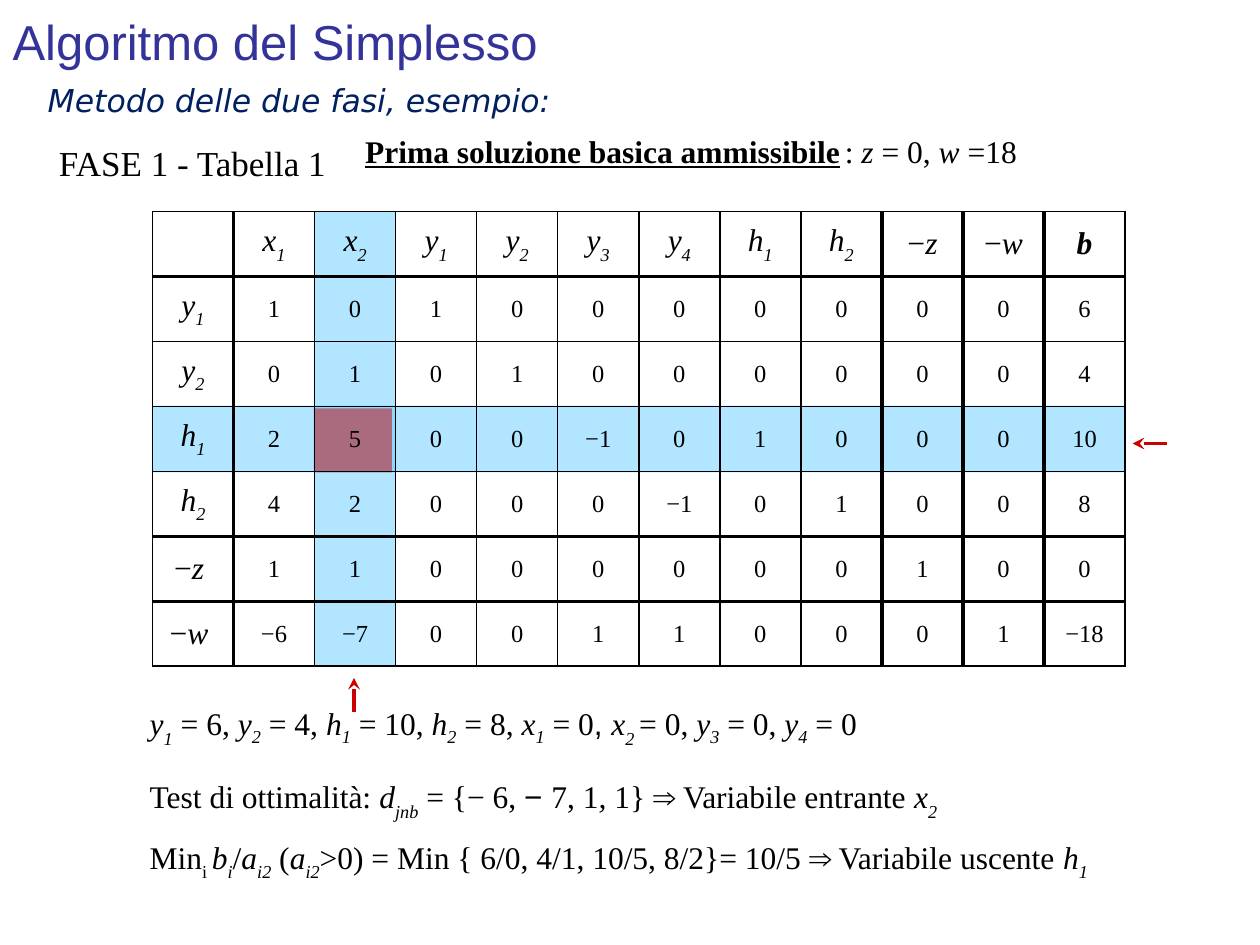
from dataclasses import dataclass, replace

import pptx
import pptx.dml.color
import pptx.enum.shapes
import pptx.enum.text
import pptx.oxml
import pptx.oxml.ns
import pptx.util
from pptx.util import Inches

RGBColor = pptx.dml.color.RGBColor
Align = pptx.enum.text.PP_ALIGN
Anchor = pptx.enum.text.MSO_ANCHOR
qn = pptx.oxml.ns.qn

BLACK = RGBColor(0x00, 0x00, 0x00)
TITLE_BLUE = RGBColor(0x33, 0x33, 0x99)
NAVY = RGBColor(0x00, 0x20, 0x60)
SKY = RGBColor(0x66, 0xCC, 0xFF)
RED = RGBColor(0xCC, 0x00, 0x00)
SERIF = "Times New Roman"
THIN, THICK = 1, 2.25


@dataclass(frozen=True)
class Span:
    text: str
    italic: bool = False
    bold: bool = False
    underline: bool = False
    baseline: int = 0  # percent of the text size
    font: str = SERIF
    size: float = 18
    color: RGBColor = BLACK


@dataclass(frozen=True)
class Area:
    left: float
    top: float
    width: float
    height: float

    def lengths(self) -> list:
        return [Inches(n) for n in (self.left, self.top, self.width, self.height)]


def italic(text: str) -> Span:
    return Span(text, italic=True)


def indexed(name: str, index: str, baseline: int = -30) -> list[Span]:
    return [italic(name), Span(index, italic=True, baseline=baseline)]


def negative(name: str) -> list[Span]:
    return [Span("−"), italic(name)]


def write(frame, spans: list[Span], align=Align.LEFT) -> None:
    para = frame.paragraphs[0]
    para.alignment = align
    for span in spans:
        run = para.add_run()
        run.text = span.text
        font = run.font
        font.name, font.size = span.font, pptx.util.Pt(span.size)
        font.italic, font.bold, font.underline = span.italic, span.bold, span.underline
        font.color.rgb = span.color
        if span.baseline:
            run._r.get_or_add_rPr().set("baseline", str(span.baseline * 1000))


def add_text(page, area: Area, spans: list[Span], align=Align.LEFT) -> None:
    box = page.shapes.add_textbox(*area.lengths())
    box.text_frame.word_wrap = True
    write(box.text_frame, spans, align)


def add_highlight(page, area: Area, color: RGBColor) -> None:
    box = page.shapes.add_shape(pptx.enum.shapes.MSO_SHAPE.RECTANGLE, *area.lengths())
    box.shadow.inherit = False
    box.line.fill.background()
    box.fill.solid()
    box.fill.fore_color.rgb = color
    color_element = box._element.spPr.find(qn("a:solidFill")).find(qn("a:srgbClr"))
    color_element.append(half_transparent())


def half_transparent():
    return pptx.oxml.parse_xml(f'<a:alpha {pptx.oxml.ns.nsdecls("a")} val="50000"/>')


def add_arrow(page, tip: tuple[float, float], tail: tuple[float, float]) -> None:
    arrow = page.shapes.add_connector(
        pptx.enum.shapes.MSO_CONNECTOR.STRAIGHT, *[Inches(n) for n in tip + tail])
    arrow.line.color.rgb = RED
    arrow.line.width = pptx.util.Pt(2.25)
    names = pptx.oxml.ns.nsdecls("a")
    arrow.line._get_or_add_ln().append(
        pptx.oxml.parse_xml(f'<a:headEnd {names} type="stealth"/>'))
    arrow._element.spPr.append(pptx.oxml.parse_xml(f"<a:effectLst {names}/>"))


def set_borders(cell, left: float, right: float, top: float, bottom: float) -> None:
    properties = cell._tc.get_or_add_tcPr()
    sides = zip("LRTB", (left, right, top, bottom))
    for position, (side, points) in enumerate(sides):
        properties.insert(position, pptx.oxml.parse_xml(
            f'<a:ln{side} {pptx.oxml.ns.nsdecls("a")} w="{int(points * 12700)}">'
            f'<a:solidFill><a:srgbClr val="{BLACK}"/></a:solidFill></a:ln{side}>'))


# Tableau contents
HEADER = [
    [],
    *[indexed(name, index) for name, index in ("x1", "x2", "y1", "y2", "y3", "y4", "h1", "h2")],
    negative("z"), negative("w"), [replace(italic("b"), bold=True)],
]
BODY = [
    (indexed("y", "1"), "1 0 1 0 0 0 0 0 0 0 6"),
    (indexed("y", "2"), "0 1 0 1 0 0 0 0 0 0 4"),
    (indexed("h", "1"), "2 5 0 0 −1 0 1 0 0 0 10"),
    (indexed("h", "2"), "4 2 0 0 0 −1 0 1 0 0 8"),
    (negative("z "), "1 1 0 0 0 0 0 0 1 0 0"),
    (negative("w "), "−6 −7 0 0 1 1 0 0 0 1 −18"),
]
TABLEAU = Area(1.21, 1.68, 7.72, 3.61)
THICK_AFTER_COLUMNS = {0, 8, 9, 10}
THICK_AFTER_ROWS = {0, 4, 5}


def add_tableau(page) -> None:
    rows = [HEADER] + [
        [label] + [[Span(value, size=14)] for value in values.split()]
        for label, values in BODY]
    table = page.shapes.add_table(len(rows), len(HEADER), *TABLEAU.lengths()).table
    table.first_row = table.horz_banding = False

    def weight(index: int, thick: set[int]) -> float:
        return THICK if index in thick else THIN

    for r, row in enumerate(rows):
        for c, spans in enumerate(row):
            cell = table.cell(r, c)
            cell.fill.background()
            cell.vertical_anchor = Anchor.MIDDLE
            write(cell.text_frame, spans, Align.CENTER)
            set_borders(
                cell,
                weight(c - 1, THICK_AFTER_COLUMNS), weight(c, THICK_AFTER_COLUMNS),
                weight(r - 1, THICK_AFTER_ROWS), weight(r, THICK_AFTER_ROWS))


def main() -> None:
    deck = pptx.Presentation()
    deck.slide_width, deck.slide_height = Inches(10), Inches(7.5)
    page = deck.slides.add_slide(deck.slide_layouts[5])

    # Title and headings
    title = page.shapes.title
    title.left, title.top, title.width, title.height = Area(0, -0.03, 9, 0.71).lengths()
    title.text_frame.vertical_anchor = Anchor.MIDDLE
    write(title.text_frame,
          [Span("Algoritmo del Simplesso", font="Arial", size=28, color=TITLE_BLUE)])
    add_text(page, Area(0.28, 0.59, 8.52, 0.4), [
        Span("Metodo delle due fasi, esempio:", italic=True, font="DejaVu Sans", color=NAVY)])
    add_text(page, Area(0.37, 1.07, 3.97, 0.43), [Span("FASE 1 - Tabella 1", size=20)])
    add_text(page, Area(2.8, 1, 5.54, 0.5), [
        Span("Prima soluzione basica ammissibile", bold=True, underline=True),
        Span(" ", italic=True, baseline=-30), Span(": "),
        italic("z"), Span(" = 0, "), italic("w"), Span(" =18")], Align.JUSTIFY)

    # Pivot column, row and element, under the tableau
    add_highlight(page, Area(2.5, TABLEAU.top, 0.64, TABLEAU.height), SKY)
    add_highlight(page, Area(TABLEAU.left, 3.22, TABLEAU.width, 0.53), SKY)
    add_highlight(page, Area(2.49, 3.24, 0.62, 0.51), RED)
    add_tableau(page)
    add_arrow(page, (2.81, 5.38), (2.81, 5.65))
    add_arrow(page, (8.99, 3.52), (9.26, 3.52))

    # Basic solution, optimality test and ratio test
    solution = [
        *indexed("y", "1"), Span(" = 6, "), *indexed("y", "2", -25), Span(" = 4, "),
        *indexed("h", "1", -25), Span(" = 10, "), *indexed("h", "2", -25), Span(" = 8, "),
        *indexed("x", "1", -25), Span(" = 0"), Span(", ", font="Arial"),
        *indexed("x", "2 "), Span("= 0, "), *indexed("y", "3", -25), Span(" = 0, "),
        *indexed("y", "4", -25), Span(" = 0")]
    optimality = [
        Span("Test di ottimalità: "), *indexed("d", "jnb"), Span(" = {− 6, "),
        Span("− ", font="Arial"), Span("7, 1"), italic(", "),
        Span("1} ⇒ Variabile entrante "), *indexed("x", "2")]
    ratio = [
        Span("Min"), Span("i ", baseline=-30), *indexed("b", "i"), Span("/"),
        *indexed("a", "i2"), Span(" ("), *indexed("a", "i2"),
        Span(">0) = Min { 6/0, 4/1, 10/5, 8/2}= 10/5 ⇒ Variabile uscente "),
        *indexed("h", "1")]
    for top, spans in ((5.54, solution), (6.12, optimality), (6.6, ratio)):
        add_text(page, Area(1.09, top, 7.9, 0.5), spans, Align.JUSTIFY)

    deck.save("out.pptx")


if __name__ == "__main__":
    main()
